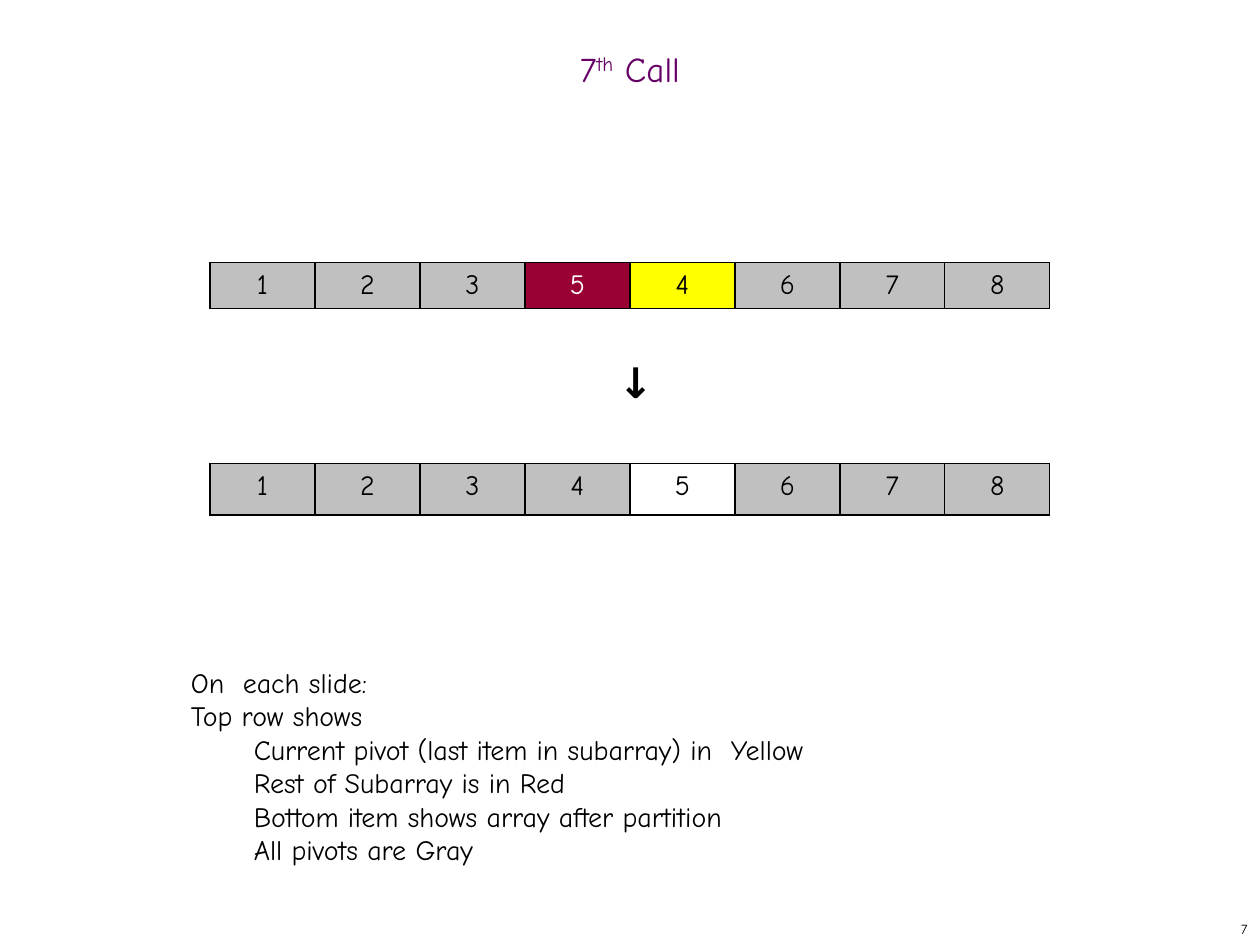
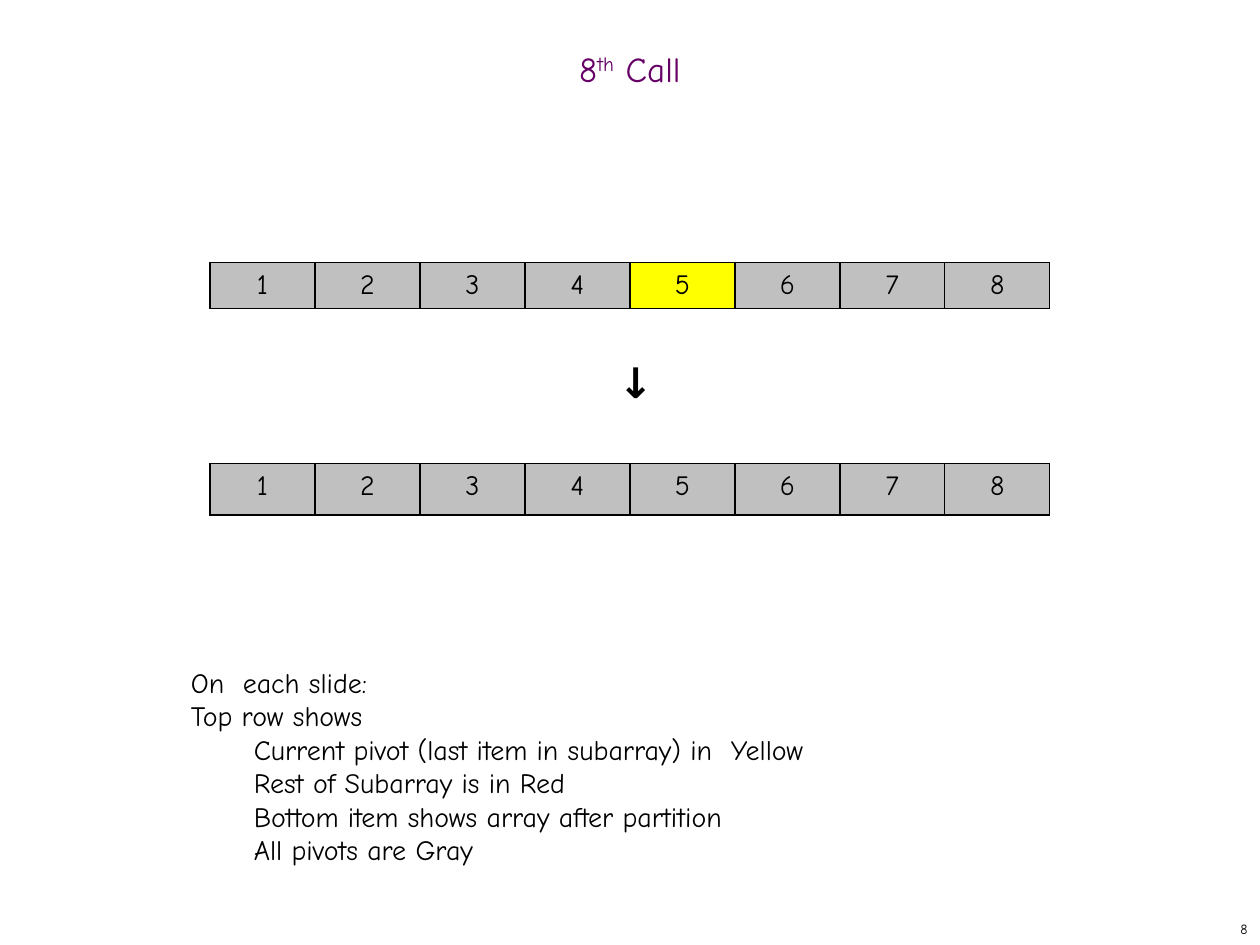
from lxml.etree import SubElement
from pptx import Presentation
from pptx.dml.color import RGBColor
from pptx.enum.text import MSO_ANCHOR as Anchor, PP_ALIGN as Align
from pptx.oxml.ns import qn
from pptx.util import Inches, Pt

FONT = "Comic Neue"
BLACK, WHITE, PURPLE = "000000", "FFFFFF", "660066"
GRAY, RED, YELLOW = "C0C0C0", "990033", "FFFF00"

presentation = Presentation()
presentation.slide_width = Inches(10)
presentation.slide_height = Inches(7.5)
COLUMN = presentation.slide_width / 12
ROW = presentation.slide_height / 18

NOTES = [
    ("On  each slide:", 0),
    ("Top row shows", 0),
    ("Current pivot (last item in subarray) in  Yellow", 0.6),
    ("Rest of Subarray is in Red", 0.6),
    ("Bottom item shows array after partition", 0.6),
    ("All pivots are Gray", 0.6),
]

CALLS = [
    {
        "number": "7",
        "before": ("12354678", {3: RED, 4: YELLOW}),
        "after": ("12345678", {4: WHITE}),
    },
    {
        "number": "8",
        "before": ("12345678", {4: YELLOW}),
        "after": ("12345678", {}),
    },
]


def add_run(paragraph, text, size, color=BLACK, bold=False):
    run = paragraph.add_run()
    run.text = text
    run.font.name = FONT
    run.font.size = Pt(size)
    run.font.bold = bold
    run.font.color.rgb = RGBColor.from_string(color)
    return run


def add_text_frame(slide, column, row, columns, rows, anchor=Anchor.TOP, wrap=True):
    box = slide.shapes.add_textbox(
        int(column * COLUMN), int(row * ROW), int(columns * COLUMN), int(rows * ROW)
    )
    box.text_frame.word_wrap = wrap
    box.text_frame.vertical_anchor = anchor
    return box.text_frame


for call in CALLS:
    slide = presentation.slides.add_slide(presentation.slide_layouts[6])

    title = add_text_frame(slide, 0, 0.8, 12, 1.2, Anchor.MIDDLE).paragraphs[0]
    title.alignment = Align.CENTER
    title.line_spacing = 0.7
    add_run(title, call["number"], 20, PURPLE)
    ordinal = add_run(title, "th", 20, PURPLE)
    ordinal.font._element.set("baseline", "30000")
    add_run(title, " Call", 20, PURPLE)

    footer = add_text_frame(slide, 9.5, 17.4, 2.5, 0.6, Anchor.MIDDLE).paragraphs[0]
    footer.alignment = Align.RIGHT
    add_run(footer, call["number"], 8)

    arrow = add_text_frame(slide, 5.77, 6.67, 0.44, 1.2, wrap=False).paragraphs[0]
    add_run(arrow, "↓", 24, bold=True)

    notes = add_text_frame(slide, 1.7, 12.55, 9.6, 4.13)
    for index, (line, indent) in enumerate(NOTES):
        paragraph = notes.add_paragraph() if index else notes.paragraphs[0]
        if indent:
            paragraph._p.get_or_add_pPr().set("marL", str(int(indent * COLUMN)))
        add_run(paragraph, line, 16)

    for stage, top, height in (("after", 8.83, 0.98), ("before", 5, 0.88)):
        values, highlights = call[stage]
        table = slide.shapes.add_table(
            1, len(values), int(2 * COLUMN), int(top * ROW),
            int(len(values) * COLUMN), int(height * ROW)
        ).table
        table.first_row = False
        table.horz_banding = False
        for index, value in enumerate(values):
            cell = table.cell(0, index)
            fill = highlights.get(index, GRAY)
            properties = cell._tc.get_or_add_tcPr()
            for side in ("a:lnL", "a:lnR", "a:lnT", "a:lnB"):
                border = SubElement(properties, qn(side), w=str(Pt(1)))
                border_fill = SubElement(border, qn("a:solidFill"))
                SubElement(border_fill, qn("a:srgbClr"), val=BLACK)
            cell.fill.solid()
            cell.fill.fore_color.rgb = RGBColor.from_string(fill)
            paragraph = cell.text_frame.paragraphs[0]
            paragraph.alignment = Align.CENTER
            add_run(paragraph, value, 16, WHITE if fill == RED else BLACK)

presentation.save("out.pptx")
